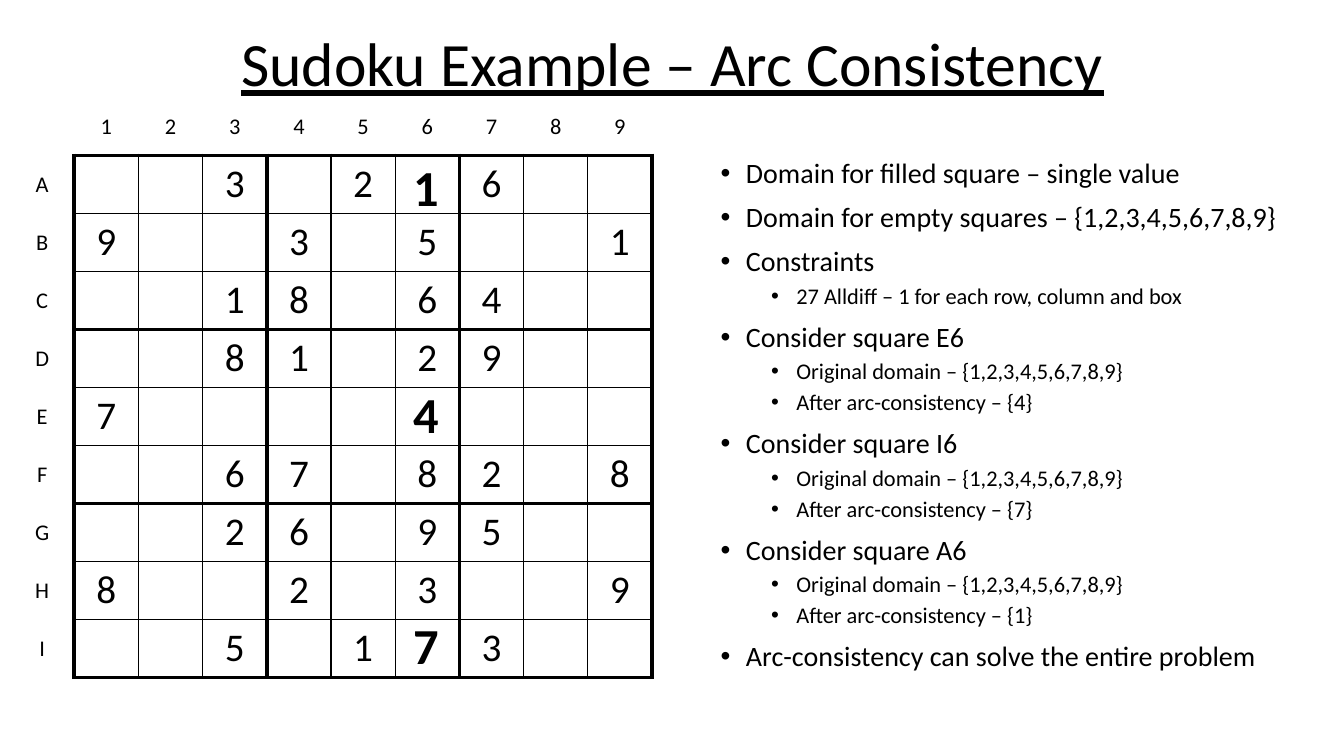
from lxml import etree
from pptx import Presentation
from pptx.dml.color import RGBColor
from pptx.enum.text import MSO_ANCHOR, PP_ALIGN
from pptx.oxml.ns import qn
from pptx.util import Pt

PX = 9144  # 100 px to the inch
FONT = "Calibri"
BLACK = "000000"
CENTER = PP_ALIGN.CENTER
MIDDLE = MSO_ANCHOR.MIDDLE
NO_GRID_STYLE = "{2D5ABB26-0587-4C30-8999-92F81FD0307C}"

TITLE = "Sudoku Example – Arc Consistency"
ROW_NAMES = "ABCDEFGHI"
PUZZLE = [
    "..3.2.6..",
    "9..3.5..1",
    "..18.64..",
    "..81.29..",
    "7........",
    "..67.82.8",
    "..26.95..",
    "8..2.3..9",
    "..5.1.3..",
]
# Digit and its top edge within the grid box
SOLVED_LEFT = 390
SOLVED_DIGITS = [("4", 278), ("7", 507), ("1", 53)]
FULL_DOMAIN = "Original domain – {1,2,3,4,5,6,7,8,9}"
BULLETS = [
    (0, "Domain for filled square – single value"),
    (0, "Domain for empty squares – {1,2,3,4,5,6,7,8,9}"),
    (0, "Constraints"),
    (1, "27 Alldiff – 1 for each row, column and box"),
    (0, "Consider square E6"),
    (1, FULL_DOMAIN),
    (1, "After arc-consistency – {4}"),
    (0, "Consider square I6"),
    (1, FULL_DOMAIN),
    (1, "After arc-consistency – {7}"),
    (0, "Consider square A6"),
    (1, FULL_DOMAIN),
    (1, "After arc-consistency – {1}"),
    (0, "Arc-consistency can solve the entire problem"),
]


def color(hex_string):
    return RGBColor.from_string(hex_string)


def px(*lengths):
    return [length * PX for length in lengths]


def style_font(paragraph, size):
    paragraph.font.name = FONT
    paragraph.font.size = Pt(size)
    paragraph.font.color.rgb = color(BLACK)


def add_title(slide, box):
    title = slide.shapes.title
    title.left, title.top, title.width, title.height = px(*box)
    title.text_frame.vertical_anchor = MIDDLE
    paragraph = title.text_frame.paragraphs[0]
    paragraph.text = TITLE
    paragraph.alignment = CENTER
    paragraph.line_spacing = 0.9
    style_font(paragraph, 44)
    paragraph.font.underline = True


def set_borders(cell, row, column):
    """Every third grid line is heavy; labels only border the grid."""
    edges = {}
    if row and column:
        edges["a:lnL"] = column - 1
    if row:
        edges["a:lnR"] = column
    if row and column:
        edges["a:lnT"] = row - 1
    if column:
        edges["a:lnB"] = row
    properties = cell._tc.get_or_add_tcPr()
    for position, (tag, grid_line) in enumerate(edges.items()):
        width = Pt(1 if grid_line % 3 else 3)
        line = etree.Element(qn(tag), w=str(width))
        fill = etree.SubElement(line, qn("a:solidFill"))
        etree.SubElement(fill, qn("a:srgbClr"), val=BLACK)
        properties.insert(position, line)


def cell_text(row, column):
    if row and column:
        return PUZZLE[row - 1][column - 1].replace(".", "")
    if row:
        return ROW_NAMES[row - 1]
    return str(column) if column else ""


def add_grid(slide, box):
    left, top, width, height = box
    count = len(PUZZLE) + 1
    table = slide.shapes.add_table(count, count, *px(*box)).table
    table.first_row = False
    table.horz_banding = False
    table._tbl.tblPr.find(qn("a:tableStyleId")).text = NO_GRID_STYLE
    for index in range(count):
        table.columns[index].width = width * PX // count
        table.rows[index].height = height * PX // count
    for row in range(count):
        for column in range(count):
            cell = table.cell(row, column)
            cell.fill.background()
            cell.vertical_anchor = MIDDLE
            set_borders(cell, row, column)
            paragraph = cell.text_frame.paragraphs[0]
            paragraph.text = cell_text(row, column)
            paragraph.alignment = CENTER
            style_font(paragraph, 28 if row and column else 16)

    # Digits found by arc consistency
    for digit, offset in SOLVED_DIGITS:
        digit_box = (left + SOLVED_LEFT, top + offset, 46, 71)
        text_box = slide.shapes.add_textbox(*px(*digit_box))
        text_box.text_frame.word_wrap = False
        paragraph = text_box.text_frame.paragraphs[0]
        paragraph.text = digit
        style_font(paragraph, 36)
        paragraph.font.bold = True


def add_bullets(slide, box):
    frame = slide.shapes.add_textbox(*px(*box)).text_frame
    frame.word_wrap = True
    for index, (level, text) in enumerate(BULLETS):
        paragraph = frame.add_paragraph() if index else frame.paragraphs[0]
        paragraph.text = text
        paragraph.level = level
        paragraph.line_spacing = 0.9
        if index:
            paragraph.space_before = Pt(5 if level else 10)
        properties = paragraph._p.get_or_add_pPr()
        properties.set("marL", str((75 if level else 25) * PX))
        properties.set("indent", str(-25 * PX))
        etree.SubElement(properties, qn("a:buFont"), typeface="Arial")
        etree.SubElement(properties, qn("a:buChar"), char="•")
        style_font(paragraph, 16 if level else 20)


def main():
    presentation = Presentation()
    presentation.slide_width, presentation.slide_height = px(1333, 750)
    slide = presentation.slides.add_slide(presentation.slide_layouts[5])
    add_title(slide, (92, 15, 1150, 102))
    add_grid(slide, (10, 97, 637, 572))
    add_bullets(slide, (705, 153, 578, 516))
    presentation.save("out.pptx")


if __name__ == "__main__":
    main()
